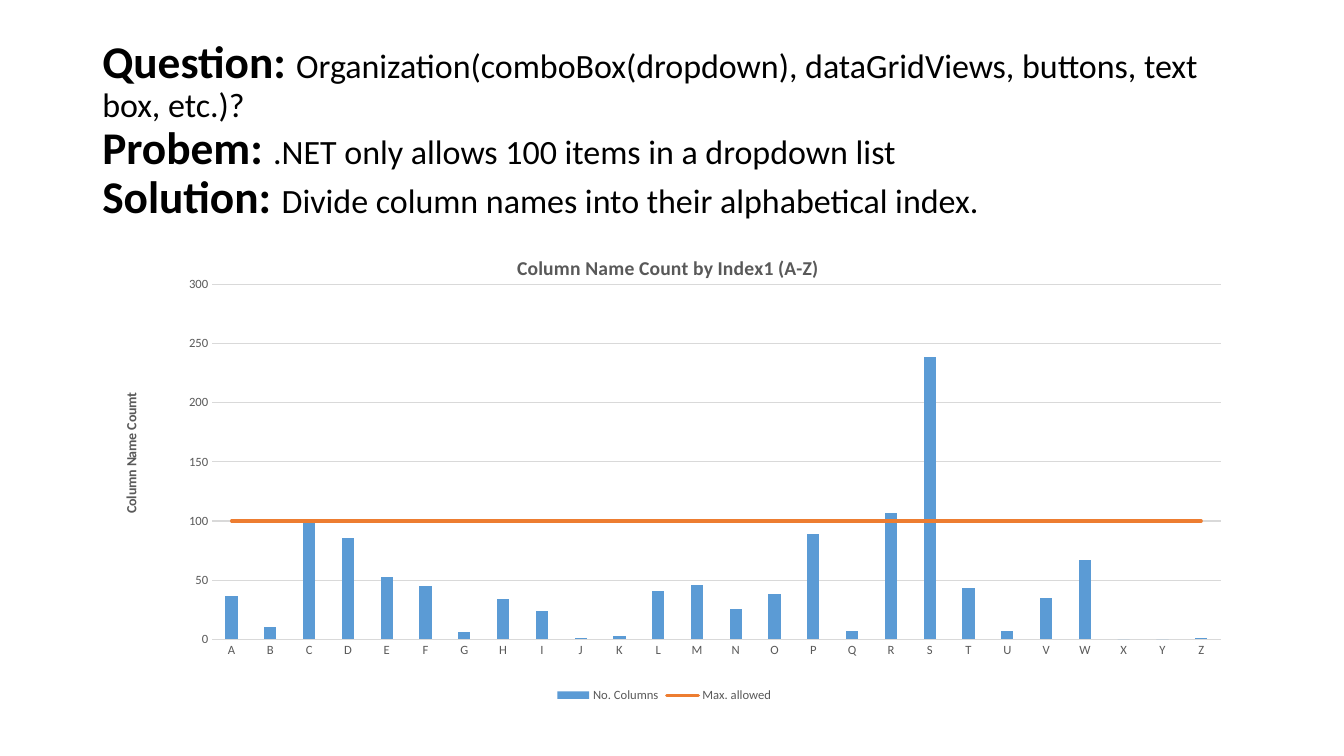
from lxml import etree
from pptx import Presentation
from pptx.chart.data import CategoryChartData
from pptx.dml.color import RGBColor
from pptx.enum.chart import XL_CHART_TYPE, XL_LEGEND_POSITION, XL_MARKER_STYLE, XL_TICK_MARK
from pptx.enum.text import MSO_ANCHOR
from pptx.oxml import parse_xml
from pptx.oxml.ns import nsdecls, qn
from pptx.util import Pt

COLUMNS = XL_CHART_TYPE.COLUMN_CLUSTERED
BOTTOM = XL_LEGEND_POSITION.BOTTOM
NO_MARKER = XL_MARKER_STYLE.NONE
NO_TICK = XL_TICK_MARK.NONE
MIDDLE = MSO_ANCHOR.MIDDLE

FONT = "Calibri"
BLACK = RGBColor(0x00, 0x00, 0x00)
GRAY = RGBColor(0x59, 0x59, 0x59)
GRID = RGBColor(0xD9, 0xD9, 0xD9)
BLUE = RGBColor(0x5B, 0x9B, 0xD5)
ORANGE = RGBColor(0xED, 0x7D, 0x31)

LETTERS = "ABCDEFGHIJKLMNOPQRSTUVWXYZ"
COUNTS = [37, 10, 98, 86, 53, 45, 6, 34, 24, 1, 3, 41, 46,
          26, 38, 89, 7, 107, 239, 43, 7, 35, 67, 0, 0, 1]
MAX_ALLOWED = 100
STATEMENTS = [
    ("Question: ", "Organization(comboBox(dropdown), dataGridViews, buttons, text box, etc.)?"),
    ("Probem: ", ".NET only allows 100 items in a dropdown list"),
    ("Solution: ", "Divide column names into their alphabetical index."),
]


def style_font(font, size, color, bold=False):
    """Set typeface, size, colour and weight."""
    font.name = FONT
    font.size = Pt(size)
    font.bold = bold
    font.color.rgb = color


def add_run(paragraph, text, size, bold):
    """Append one styled run."""
    run = paragraph.add_run()
    run.text = text
    style_font(run.font, size, BLACK, bold)


def add_statements(slide):
    """Add the labelled statements as lines of one paragraph."""
    box = slide.shapes.add_textbox(Pt(66), Pt(34), Pt(828), Pt(119.5))
    frame = box.text_frame
    frame.word_wrap = True
    frame.vertical_anchor = MIDDLE
    paragraph = frame.paragraphs[0]
    paragraph.line_spacing = 0.9
    for index, (label, statement) in enumerate(STATEMENTS):
        if index:
            paragraph.add_line_break()
        add_run(paragraph, label, 32.4, True)
        add_run(paragraph, statement, 24.3, False)


def place(parent, x, y, size=None):
    """Give a chart part a manual layout in fractions of the chart."""
    for old in parent.findall(qn("c:layout")):
        parent.remove(old)
    values = {"xMode": "edge", "yMode": "edge", "x": x, "y": y}
    if size:
        values = {"layoutTarget": "inner", **values, "w": size[0], "h": size[1]}
    layout = parse_xml(f"<c:layout {nsdecls('c')}/>")
    manual = etree.SubElement(layout, qn("c:manualLayout"))
    for tag, value in values.items():
        etree.SubElement(manual, qn(f"c:{tag}")).set("val", str(value))
    text = parent.find(qn("c:tx"))
    if text is None:
        parent.insert(0, layout)
    else:
        text.addnext(layout)


def add_title(owner, title, text, size, x, y):
    """Write a bold title at a fixed place in the chart."""
    run = title.text_frame.paragraphs[0].add_run()
    run.text = text
    style_font(run.font, size, GRAY, True)
    place(owner.find(qn("c:title")), x, y)


def move_limit_to_line(chart):
    """Turn the second column series into a line on the same axes."""
    bars = chart.plots[0]._element
    limit = bars.findall(qn("c:ser"))[1]
    for inverted in limit.findall(qn("c:invertIfNegative")):
        limit.remove(inverted)
    line_plot = parse_xml(
        f'<c:lineChart {nsdecls("c")}><c:grouping val="standard"/>'
        '<c:varyColors val="0"/><c:marker val="1"/></c:lineChart>')
    line_plot.insert(2, limit)
    for axis in bars.findall(qn("c:axId")):
        etree.SubElement(line_plot, qn("c:axId")).set("val", axis.get("val"))
    bars.addnext(line_plot)


def style_series(chart):
    """Colour the columns and the limit line."""
    columns, limit = chart.plots
    columns.gap_width = 219
    columns.overlap = -27
    columns.vary_by_categories = False
    fill = columns.series[0].format.fill
    fill.solid()
    fill.fore_color.rgb = BLUE
    line_series = limit.series[0]
    line_series.smooth = False
    line_series.marker.style = NO_MARKER
    line_series.format.line.color.rgb = ORANGE
    line_series.format.line.width = Pt(2.25)
    line_series._element.find(qn("c:spPr")).find(qn("a:ln")).set("cap", "rnd")


def style_axes(chart):
    """Set axis scale, labels and lines."""
    letters, counts = chart.category_axis, chart.value_axis
    for axis in (letters, counts):
        axis.major_tick_mark = NO_TICK
        axis.minor_tick_mark = NO_TICK
        style_font(axis.tick_labels.font, 9, GRAY)
    counts.minimum_scale, counts.maximum_scale, counts.major_unit = 0, 300, 50
    counts.format.line.fill.background()
    for line in (letters.format.line, counts.major_gridlines.format.line):
        line.color.rgb = GRID
        line.width = Pt(0.75)


def add_count_chart(slide):
    """Add the column count chart with its limit line."""
    data = CategoryChartData()
    data.categories = list(LETTERS)
    data.add_series("No. Columns", COUNTS)
    data.add_series("Max. allowed", [MAX_ALLOWED] * len(LETTERS))
    chart = slide.shapes.add_chart(
        COLUMNS, Pt(60.5), Pt(162), Pt(828), Pt(342.7), data).chart
    style_font(chart.font, 10, BLACK)
    move_limit_to_line(chart)
    style_series(chart)
    style_axes(chart)
    chart.has_title = True
    add_title(chart._chartSpace.chart, chart.chart_title,
              "Column Name Count by Index1 (A-Z)", 14, 0.37, 0.05)
    counts = chart.value_axis
    add_title(counts._element, counts.axis_title, "Column Name Coumt", 10, 0.03, 0.34)
    body = counts.axis_title.text_frame._txBody.find(qn("a:bodyPr"))
    body.set("rot", "-5400000")
    body.set("vert", "horz")
    place(chart._chartSpace.chart.plotArea, 0.11, 0.12, (0.87, 0.74))
    chart.has_legend = True
    chart.legend.position = BOTTOM
    chart.legend.include_in_layout = False
    style_font(chart.legend.font, 9, GRAY)


def main():
    """Build and save the slide."""
    deck = Presentation()
    deck.slide_width, deck.slide_height = Pt(960), Pt(540)
    slide = deck.slides.add_slide(deck.slide_layouts[6])
    add_statements(slide)
    add_count_chart(slide)
    deck.save("out.pptx")


main()
